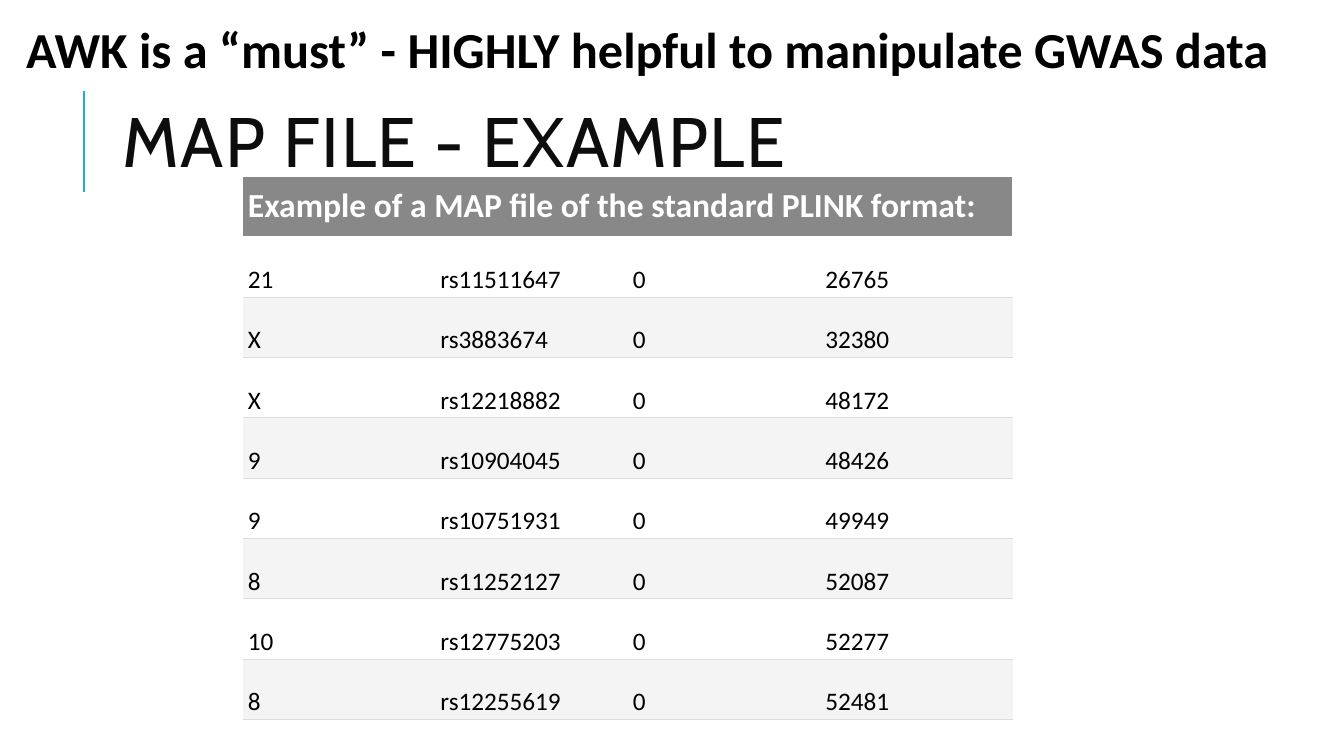
from pptx import Presentation
from pptx.dml.color import RGBColor
from pptx.enum.shapes import MSO_CONNECTOR
from pptx.enum.text import MSO_ANCHOR, MSO_AUTO_SIZE
from pptx.oxml.ns import qn
from pptx.oxml.xmlchemy import OxmlElement
from pptx.util import Pt

BLACK = RGBColor(0x00, 0x00, 0x00)
TITLE_BLACK = RGBColor(0x0D, 0x0D, 0x0D)
WHITE = RGBColor(0xFF, 0xFF, 0xFF)
HEADER_GREY = RGBColor(0x88, 0x88, 0x88)
BAND_GREY = RGBColor(0xF4, 0xF4, 0xF4)
RULE_GREY = RGBColor(0xDD, 0xDD, 0xDD)
ACCENT_BLUE = RGBColor(0x1C, 0xAD, 0xE4)

NO_STYLE_TABLE = "{2D5ABB26-0587-4C30-8999-92F81FD0307C}"
TABLE_LEFT, TABLE_TOP = 173.5, 126
COLUMN_WIDTH, ROW_HEIGHT = 137.5, 43.13

TABLE_HEADING = "Example of a MAP file of the standard PLINK format:"
MAP_ROWS = [
    ("21", "rs11511647", "0", "26765"),
    ("X", "rs3883674", "0", "32380"),
    ("X", "rs12218882", "0", "48172"),
    ("9", "rs10904045", "0", "48426"),
    ("9", "rs10751931", "0", "49949"),
    ("8", "rs11252127", "0", "52087"),
    ("10", "rs12775203", "0", "52277"),
    ("8", "rs12255619", "0", "52481"),
]


def add_run(paragraph, text, size, color, font="Calibri", bold=False):
    run = paragraph.add_run()
    run.text = text
    run.font.name = font
    run.font.size = Pt(size)
    run.font.bold = bold
    run.font.color.rgb = color
    return run


def add_text_box(slide, left, top, width, height):
    text_box = slide.shapes.add_textbox(Pt(left), Pt(top), Pt(width), Pt(height))
    return text_box.text_frame


def add_title(slide):
    text_frame = add_text_box(slide, 80.64, 46, 765.36, 118)
    text_frame.word_wrap = True
    text_frame.vertical_anchor = MSO_ANCHOR.MIDDLE
    paragraph = text_frame.paragraphs[0]
    paragraph.line_spacing = 0.8
    run = add_run(paragraph, "MAP FILE - EXAMPLE", 50, TITLE_BLACK, "Cabin")
    run.font._element.set("spc", "100")


def add_banner(slide):
    text_frame = add_text_box(slide, 11.5, 9.36, 934.5, 51)
    text_frame.word_wrap = False
    text_frame.auto_size = MSO_AUTO_SIZE.SHAPE_TO_FIT_TEXT
    add_run(text_frame.paragraphs[0],
            "AWK is a “must” - HIGHLY helpful to manipulate GWAS data",
            36, BLACK, bold=True)


def add_accent_line(slide):
    line = slide.shapes.add_connector(
        MSO_CONNECTOR.STRAIGHT, Pt(60), Pt(136.8), Pt(60), Pt(64.8))
    line.line.color.rgb = ACCENT_BLUE
    line.line.width = Pt(1.5)
    line._element.spPr.append(OxmlElement("a:effectLst"))


def add_border(cell, side, color):
    """Draw one cell border; side is L, R, T or B. Call before the cell is filled."""
    border = OxmlElement(f"a:ln{side}")
    border.set("w", str(Pt(0.75)))
    solid_fill = OxmlElement("a:solidFill")
    rgb = OxmlElement("a:srgbClr")
    rgb.set("val", str(color))
    solid_fill.append(rgb)
    border.append(solid_fill)
    cell._tc.get_or_add_tcPr().append(border)


def format_cell(cell, fill, borders, anchor):
    for side, color in borders.items():
        add_border(cell, side, color)
    cell.fill.solid()
    cell.fill.fore_color.rgb = fill
    cell.margin_left = cell.margin_right = Pt(3.6)
    cell.margin_top = cell.margin_bottom = Pt(1.44)
    cell.vertical_anchor = anchor


def add_map_table(slide):
    row_count, column_count = len(MAP_ROWS) + 1, len(MAP_ROWS[0])
    table = slide.shapes.add_table(
        row_count, column_count, Pt(TABLE_LEFT), Pt(TABLE_TOP),
        Pt(COLUMN_WIDTH * column_count), Pt(ROW_HEIGHT * row_count)).table
    table._tbl.tblPr.find(qn("a:tableStyleId")).text = NO_STYLE_TABLE
    table.horz_banding = False
    for column in table.columns:
        column.width = Pt(COLUMN_WIDTH)
    for row in table.rows:
        row.height = Pt(ROW_HEIGHT)

    heading = table.cell(0, 0)
    heading.merge(table.cell(0, column_count - 1))
    for cell in table.rows[0].cells:
        format_cell(cell, HEADER_GREY, dict.fromkeys("LRTB", WHITE),
                    MSO_ANCHOR.MIDDLE)
    add_run(heading.text_frame.paragraphs[0], TABLE_HEADING, 24, WHITE, bold=True)

    for row_index, values in enumerate(MAP_ROWS, start=1):
        fill = WHITE if row_index % 2 else BAND_GREY
        borders = {"T": WHITE if row_index == 1 else RULE_GREY, "B": RULE_GREY}
        for column_index, value in enumerate(values):
            cell = table.cell(row_index, column_index)
            format_cell(cell, fill, borders, MSO_ANCHOR.BOTTOM)
            add_run(cell.text_frame.paragraphs[0], value, 18, BLACK)


def main():
    presentation = Presentation()
    presentation.slide_width = Pt(960)
    presentation.slide_height = Pt(540)
    slide = presentation.slides.add_slide(presentation.slide_layouts[6])
    add_accent_line(slide)
    add_title(slide)
    add_map_table(slide)
    add_banner(slide)
    presentation.save("out.pptx")


if __name__ == "__main__":
    main()
